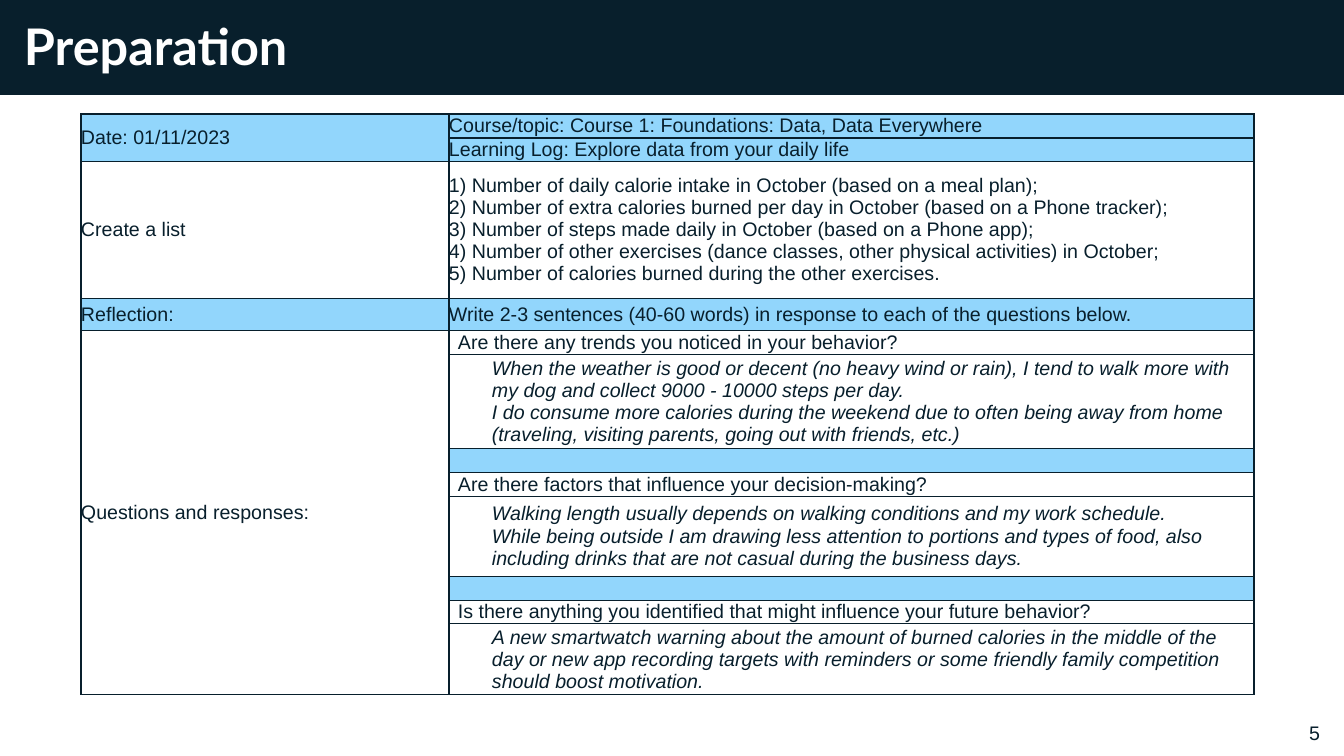
from lxml.etree import SubElement
from pptx import Presentation
from pptx.dml.color import RGBColor
from pptx.enum.shapes import MSO_SHAPE
from pptx.enum.text import MSO_ANCHOR, PP_ALIGN
from pptx.oxml.ns import qn
from pptx.util import Pt

NAVY = RGBColor(0x08, 0x1F, 0x2C)
SKY = RGBColor(0x92, 0xD6, 0xFC)
WHITE = RGBColor(0xFF, 0xFF, 0xFF)

# Left insets of the right column, in px
FLUSH, QUESTION, ANSWER = 0, 9, 43

# Row height, left text, right text, right inset, fill
LOG_ROWS = [
    (24, "Date: 01/11/2023",
     "Course/topic: Course 1: Foundations: Data, Data Everywhere", FLUSH, SKY),
    (23, "", "Learning Log: Explore data from your daily life", FLUSH, SKY),
    (137, "Create a list",
     "1) Number of daily calorie intake in October (based on a meal plan);\n"
     "2) Number of extra calories burned per day in October (based on a Phone tracker);\n"
     "3) Number of steps made daily in October (based on a Phone app);\n"
     "4) Number of other exercises (dance classes, other physical activities) in October;\n"
     "5) Number of calories burned during the other exercises.", FLUSH, WHITE),
    (32, "Reflection:",
     "Write 2-3 sentences (40-60 words) in response to each of the questions below.",
     FLUSH, SKY),
    (24, "Questions and responses:",
     "Are there any trends you noticed in your behavior?", QUESTION, WHITE),
    (94, "",
     "When the weather is good or decent (no heavy wind or rain), I tend to walk more "
     "with my dog and collect 9000 - 10000 steps per day.\n"
     "I do consume more calories during the weekend due to often being away from home "
     "(traveling, visiting parents, going out with friends, etc.)", ANSWER, WHITE),
    (24, "", "", FLUSH, SKY),
    (23, "", "Are there factors that influence your decision-making?", QUESTION, WHITE),
    (80, "",
     "Walking length usually depends on walking conditions and my work schedule.\n"
     "While being outside I am drawing less attention to portions and types of food, "
     "also including drinks that are not casual during the business days.", ANSWER, WHITE),
    (24, "", "", FLUSH, SKY),
    (23, "", "Is there anything you identified that might influence your future behavior?",
     QUESTION, WHITE),
    (71, "",
     "A new smartwatch warning about the amount of burned calories in the middle of the "
     "day or new app recording targets with reminders or some friendly family competition "
     "should boost motivation.", ANSWER, WHITE),
]
MERGED_ROWS = [(0, 1), (4, 11)]
LEFT_SHARE = 0.314


def px(n):
    return round(n * 914400 / 100.8)


def set_font(p, size, color, name="Arial", bold=False, italic=False):
    f = p.font
    f.name, f.size, f.bold, f.italic = name, Pt(size), bold, italic
    f.color.rgb = color


def add_text(slide, x, y, w, h, text):
    tf = slide.shapes.add_textbox(px(x), px(y), px(w), px(h)).text_frame
    tf.word_wrap = True
    tf.margin_left = tf.margin_top = tf.margin_right = tf.margin_bottom = 0
    tf.paragraphs[0].text = text
    return tf, tf.paragraphs[0]


def add_header(slide, x, y, w, h):
    bar = slide.shapes.add_shape(MSO_SHAPE.RECTANGLE, px(x), px(y), px(w), px(h))
    bar.shadow.inherit = False
    bar.fill.solid()
    bar.fill.fore_color.rgb = NAVY
    bar.line.fill.background()
    tf, p = add_text(slide, x + 24, y + 22, 497, 97, "Preparation")
    p.line_spacing = 0.9
    set_font(p, 36, WHITE, "Lato", bold=True)


def add_page_number(slide, x, y, w, h):
    tf, p = add_text(slide, x, y, w, h, "5")
    tf.vertical_anchor = MSO_ANCHOR.BOTTOM
    tf.margin_bottom = px(5)
    p.alignment = PP_ALIGN.RIGHT
    set_font(p, 14, NAVY)


def fill_cell(cell, text, inset, fill):
    cell.margin_left = px(inset)
    cell.margin_top = cell.margin_right = cell.margin_bottom = 0
    cell.vertical_anchor = MSO_ANCHOR.MIDDLE
    p = cell.text_frame.paragraphs[0]
    p.text = text
    set_font(p, 14, NAVY, italic=inset == ANSWER)
    if not text:
        # An empty row takes its height from the end mark
        SubElement(p._p, qn("a:endParaRPr"), sz="1400")
    # Borders come before the fill in the cell properties
    tc_pr = cell._tc.get_or_add_tcPr()
    for side in ("a:lnL", "a:lnR", "a:lnT", "a:lnB"):
        ln = SubElement(tc_pr, qn(side), w=str(Pt(1)))
        SubElement(SubElement(ln, qn("a:solidFill")), qn("a:srgbClr"), val=str(NAVY))
    cell.fill.solid()
    cell.fill.fore_color.rgb = fill


def add_learning_log(slide, x, y, w):
    h = sum(row[0] for row in LOG_ROWS)
    table = slide.shapes.add_table(len(LOG_ROWS), 2, px(x), px(y), px(w), px(h)).table
    table.first_row = table.horz_banding = False
    left_w = round(w * LEFT_SHARE)
    table.columns[0].width, table.columns[1].width = px(left_w), px(w - left_w)
    for i, (row_h, left, right, inset, fill) in enumerate(LOG_ROWS):
        table.rows[i].height = px(row_h)
        fill_cell(table.cell(i, 0), left, FLUSH, fill)
        fill_cell(table.cell(i, 1), right, inset, fill)
    for first, last in MERGED_ROWS:
        table.cell(first, 0).merge(table.cell(last, 0))


def main():
    prs = Presentation()
    prs.slide_width, prs.slide_height = px(1344), px(756)
    slide = prs.slides.add_slide(prs.slide_layouts[6])
    add_header(slide, 0, 0, 1344, 95)
    add_learning_log(slide, 81, 114, 1173)
    add_page_number(slide, 1018, 709, 302, 40)
    prs.save("out.pptx")


if __name__ == "__main__":
    main()
